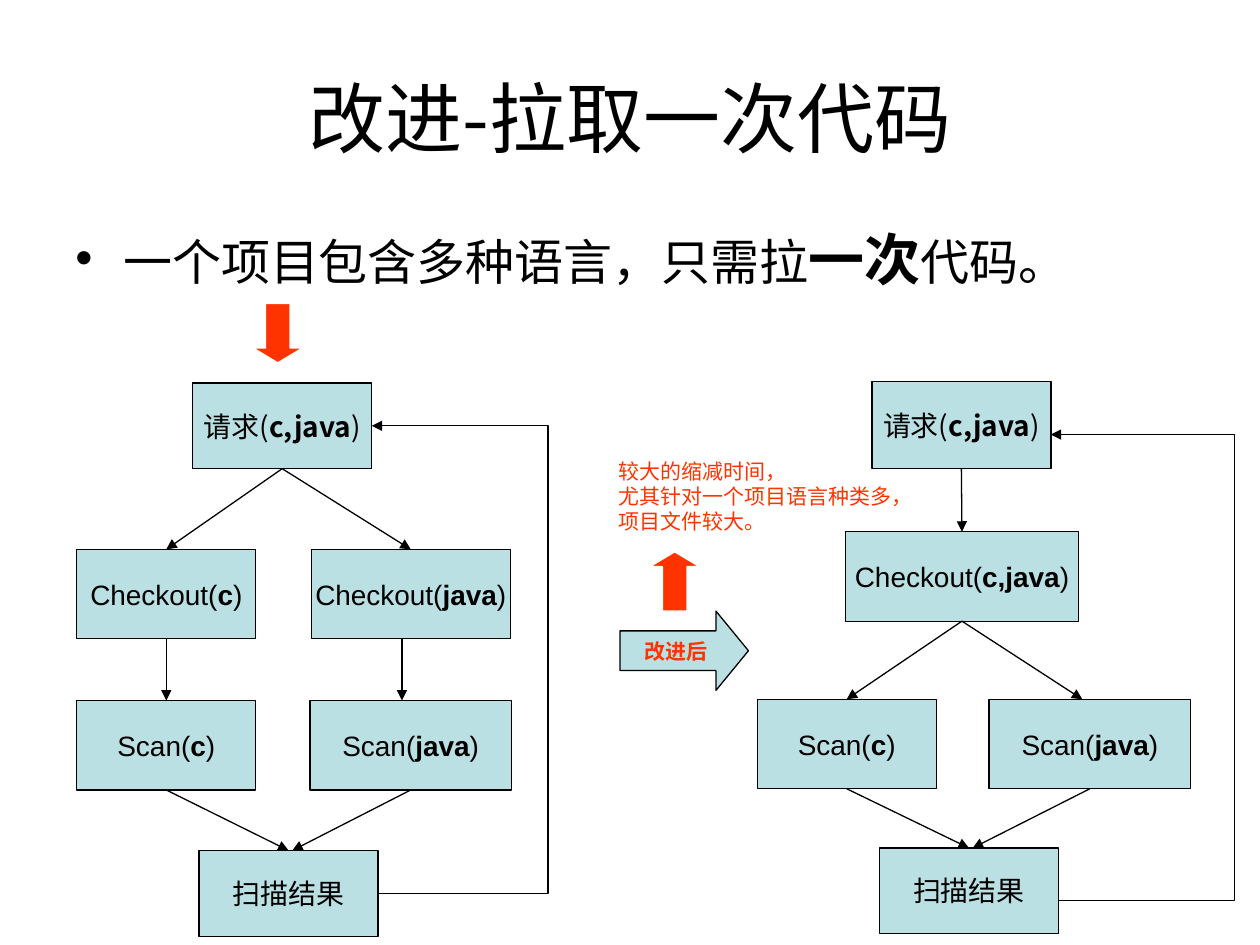
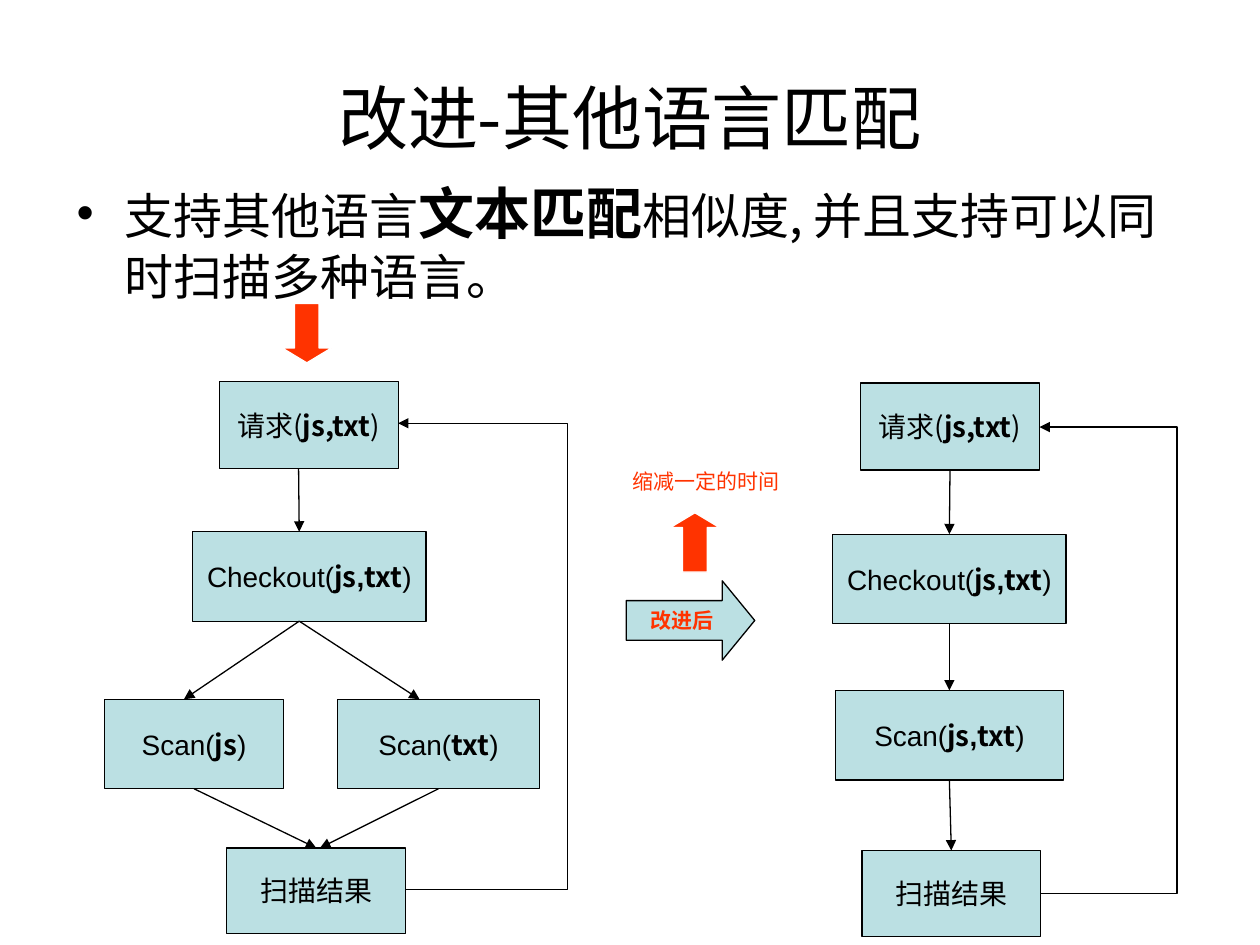
from lxml.etree import SubElement
from pptx import Presentation
from pptx.dml.color import RGBColor
from pptx.enum.shapes import MSO_CONNECTOR, MSO_SHAPE
from pptx.enum.text import MSO_ANCHOR, PP_ALIGN
from pptx.oxml.ns import qn
from pptx.util import Inches, Pt

BLACK = RGBColor(0x00, 0x00, 0x00)
WHITE = RGBColor(0xFF, 0xFF, 0xFF)
AQUA = RGBColor(0xBB, 0xE0, 0xE3)
RED = RGBColor(0xFF, 0x33, 0x00)
SANS, ARIAL = "Noto Sans CJK SC", "Arial"


def label(head, font, *words):
    return [(head, font, False), *[(w, f, True) for w, f in words], (")", font, False)]


def ask(words):
    return label("请求(", SANS, (words, SANS))


C, JAVA, BOTH = ("c", ARIAL), ("java", ARIAL), ("c,java", ARIAL)
JS, TXT = ("js", SANS), ("txt", SANS)
PAIR = (JS, (",", ARIAL), TXT)
PULL, SCAN = "Checkout(", "Scan("
DONE = [("扫描结果", SANS, False)]

SLIDES = [
    {
        "title": ("改进-拉取一次代码", 44),
        "point": (0.5, 1.75, 0.9, ["一个项目包含多种语言，只需拉", "一次", "代码。"]),
        "note": (4.81, 3.59, 2.6, 0.7,
                 ["较大的缩减时间，", "尤其针对一个项目语言种类多，", "项目文件较大。"]),
        "down": (2.01, 2.41), "up": (5.16, 4.38), "after": (4.92, 4.85),
        "flows": [
            {
                "boxes": {
                    "ask": (1.53, 3.04, 1.42, 0.68, ask("c,java")),
                    "pull1": (0.61, 4.36, 1.42, 0.71, label(PULL, ARIAL, C)),
                    "pull2": (2.47, 4.36, 1.58, 0.71, label(PULL, ARIAL, JAVA)),
                    "scan1": (0.61, 5.56, 1.42, 0.71, label(SCAN, ARIAL, C)),
                    "scan2": (2.46, 5.56, 1.6, 0.71, label(SCAN, ARIAL, JAVA)),
                    "done": (1.58, 6.75, 1.42, 0.68, DONE),
                },
                "links": [("ask", "pull1", 0, 0), ("ask", "pull2", 0, 0),
                          ("pull1", "scan1", 0, 0), ("pull2", "scan2", -0.07, -0.07),
                          ("scan1", "done", 0, 0), ("scan2", "done", 0, 0.03)],
                "loop": (4.35, 7.09, 3.38),
            },
            {
                "boxes": {
                    "ask": (6.92, 3.03, 1.42, 0.69, ask("c,java")),
                    "pull": (6.71, 4.22, 1.85, 0.71, label(PULL, ARIAL, BOTH)),
                    "scan1": (6.01, 5.55, 1.42, 0.71, label(SCAN, ARIAL, C)),
                    "scan2": (7.85, 5.55, 1.6, 0.71, label(SCAN, ARIAL, JAVA)),
                    "done": (6.98, 6.73, 1.42, 0.68, DONE),
                },
                "links": [("ask", "pull", 0, 0), ("pull", "scan1", 0, 0),
                          ("pull", "scan2", 0, -0.06), ("scan1", "done", 0, 0),
                          ("scan2", "done", 0, 0.03)],
                "loop": (9.8, 7.15, 3.45),
            },
        ],
    },
    {
        "title": ("改进-其他语言匹配", 40),
        "point": (0.51, 1.39, 1.37,
                  ["支持其他语言", "文本匹配", "相似度, 并且支持可以同时扫描多种语言。"]),
        "note": (4.92, 3.67, 1.5, 0.3, ["缩减一定的时间"]),
        "down": (2.24, 2.41), "up": (5.32, 4.07), "after": (4.97, 4.61),
        "flows": [
            {
                "boxes": {
                    "ask": (1.74, 3.03, 1.42, 0.69, ask("js,txt")),
                    "pull": (1.53, 4.22, 1.85, 0.71, label(PULL, ARIAL, *PAIR)),
                    "scan1": (0.83, 5.55, 1.42, 0.71, label(SCAN, ARIAL, JS)),
                    "scan2": (2.68, 5.55, 1.6, 0.71, label(SCAN, ARIAL, TXT)),
                    "done": (1.8, 6.73, 1.42, 0.68, DONE),
                },
                "links": [("ask", "pull", -0.08, -0.08), ("pull", "scan1", -0.08, -0.08),
                          ("pull", "scan2", -0.08, -0.15), ("scan1", "done", 0, 0),
                          ("scan2", "done", 0, 0.03)],
                "loop": (4.51, 7.06, 3.36),
            },
            {
                "boxes": {
                    "ask": (6.83, 3.04, 1.42, 0.69, ask("js,txt")),
                    "pull": (6.61, 4.24, 1.85, 0.71, label(PULL, ARIAL, *PAIR)),
                    "scan": (6.63, 5.48, 1.81, 0.71, label(SCAN, ARIAL, *PAIR)),
                    "done": (6.84, 6.75, 1.42, 0.68, DONE),
                },
                "links": [("ask", "pull", 0, 0), ("pull", "scan", 0, 0),
                          ("scan", "done", 0, 0)],
                "loop": (9.36, 7.09, 3.39),
            },
        ],
    },
]


def put(item, **values):
    for name, value in values.items():
        setattr(item, name, value)


def write(para, runs, size, color=BLACK):
    for text, font, bold in runs:
        run = para.add_run()
        run.text = text
        put(run.font, name=font, bold=bold, size=Pt(size))
        run.font.color.rgb = color
        SubElement(run.font._element, qn("a:ea"), typeface=SANS)


def area(slide, x, y, w, h, **frame):
    box = slide.shapes.add_textbox(*map(Inches, (x, y, w, h)))
    put(box.text_frame, **frame)
    return box.text_frame


def shape(slide, kind, place, fill, edge, runs=(), size=16, color=BLACK, bends=()):
    item = slide.shapes.add_shape(kind, *map(Inches, place))
    item.shadow.inherit = False
    item.fill.solid()
    item.fill.fore_color.rgb = fill
    item.line.color.rgb = edge
    item.line.width = Pt(0.75)
    for i, bend in enumerate(bends):
        item.adjustments[i] = bend
    put(item.text_frame, word_wrap=False, vertical_anchor=MSO_ANCHOR.MIDDLE)
    para = item.text_frame.paragraphs[0]
    para.alignment = PP_ALIGN.CENTER
    write(para, runs, size, color)


def link(slide, kind, *ends):
    line = slide.shapes.add_connector(kind, *map(Inches, ends))
    line.line.color.rgb = BLACK
    line.line.width = Pt(0.75)
    SubElement(line.line._get_or_add_ln(), qn("a:tailEnd"), type="triangle")
    SubElement(line._element.spPr, qn("a:effectLst"))
    return line


def flow(slide, boxes, links, loop):
    for *place, runs in boxes.values():
        shape(slide, MSO_SHAPE.FLOWCHART_PROCESS, place, AQUA, BLACK, runs)
    for start, end, out, into in links:
        x, y, w, h, _ = boxes[start]
        left, top, wide, _, _ = boxes[end]
        link(slide, MSO_CONNECTOR.STRAIGHT,
             x + w / 2 + out, y + h, left + wide / 2 + into, top)
    far, low, high = loop
    begin, stop = (boxes[key][0] + boxes[key][2] for key in ("done", "ask"))
    bent = link(slide, MSO_CONNECTOR.ELBOW, begin, low, stop, high)
    turn = round((begin - far) / (begin - stop) * 100000)
    guides = bent._element.spPr.find(qn("a:prstGeom")).get_or_add_avLst()
    SubElement(guides, qn("a:gd"), name="adj1", fmla=f"val {turn}")


def heading(slide, text, size):
    frame = area(slide, 0.5, 0.3, 9, 1.25, word_wrap=True, vertical_anchor=MSO_ANCHOR.MIDDLE)
    para = frame.paragraphs[0]
    para.alignment = PP_ALIGN.CENTER
    write(para, [(text, SANS, False)], size)


def point(slide, x, y, h, parts):
    frame = area(slide, x, y, 9, h, word_wrap=True, margin_top=Inches(0.09))
    para = frame.paragraphs[0]
    para.line_spacing = Pt(34)
    props = para._p.get_or_add_pPr()
    props.set("marL", str(Inches(0.38)))
    props.set("indent", str(-Inches(0.38)))
    tint = SubElement(props, qn("a:buClr"))
    SubElement(tint, qn("a:srgbClr"), val=str(BLACK))
    SubElement(props, qn("a:buFont"), typeface=ARIAL)
    SubElement(props, qn("a:buChar"), char="•")
    for part, size in zip(parts, (28, 32, 28)):
        write(para, [(part, SANS, size == 32)], size)


def note(slide, x, y, w, h, lines):
    frame = area(slide, x, y, w, h, word_wrap=True)
    for i, text in enumerate(lines):
        para = frame.add_paragraph() if i else frame.paragraphs[0]
        para.line_spacing = Pt(14.3)
        write(para, [(text, SANS, False)], 12, RED)


def main():
    deck = Presentation()
    put(deck, slide_width=Inches(10), slide_height=Inches(7.5))
    for data in SLIDES:
        slide = deck.slides.add_slide(deck.slide_layouts[6])
        heading(slide, *data["title"])
        point(slide, *data["point"])
        for chart in data["flows"]:
            flow(slide, **chart)
        shape(slide, MSO_SHAPE.RIGHT_ARROW, (*data["after"], 1.02, 0.63), AQUA, BLACK,
              [("改进后", ARIAL, True)], 12, RED, (0.5, 0.41))
        note(slide, *data["note"])
        for key, kind in (("down", MSO_SHAPE.DOWN_ARROW), ("up", MSO_SHAPE.UP_ARROW)):
            shape(slide, kind, (*data[key], 0.39, 0.47), RED, WHITE, bends=(0.5, 0.3))
    deck.save("out.pptx")


if __name__ == "__main__":
    main()
